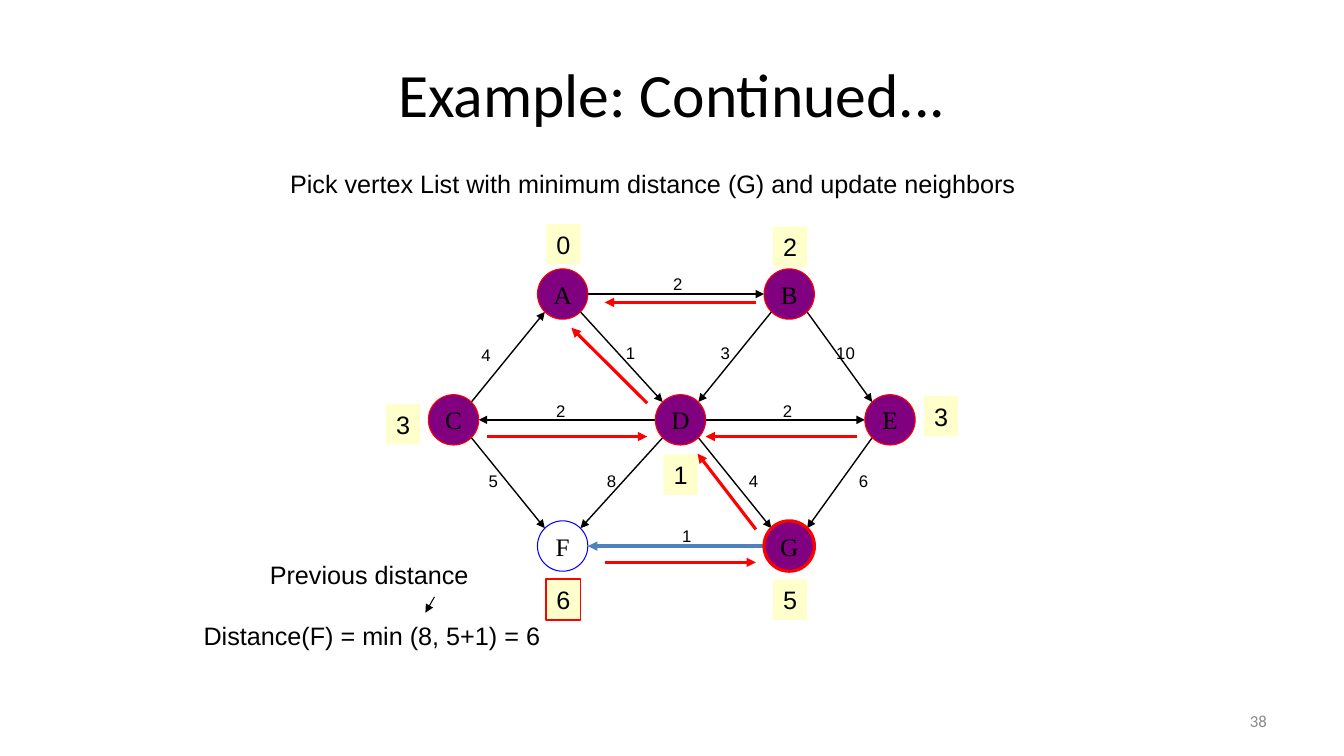
from math import sqrt
from typing import NamedTuple, Optional

from lxml.etree import SubElement
from pptx import Presentation
from pptx.dml.color import RGBColor
from pptx.enum.shapes import MSO_CONNECTOR, MSO_SHAPE
from pptx.enum.text import MSO_ANCHOR, PP_ALIGN
from pptx.oxml.ns import qn
from pptx.util import Cm, Pt

BLACK, RED, BLUE, STEEL = "000000", "FF0000", "0000FF", "4F81BD"
PURPLE, CREAM, GREY = "800080", "FFFFCC", "898989"
RADIUS = 0.635
BADGE_WIDTH, BADGE_HEIGHT = 0.86, 1.02
WEIGHT_WIDTH, WEIGHT_HEIGHT = 1.2, 0.76


class Vertex(NamedTuple):
    x: float
    y: float
    distance: str
    badge_x: float
    badge_y: float
    fill: Optional[str] = PURPLE
    outline: str = RED
    outline_width: float = 0.75
    badge_outline: Optional[str] = None


class Edge(NamedTuple):
    start: str
    end: str
    weight: str
    weight_x: float
    weight_y: float
    colour: str = BLACK
    width: float = 1


class Arrow(NamedTuple):
    x1: float
    y1: float
    x2: float
    y2: float
    colour: str = RED
    width: float = 2.25


class Caption(NamedTuple):
    text: str
    x: float
    y: float
    width: float
    height: float = 1.02
    size: float = 18
    font: str = "Arial"
    colour: str = BLACK
    align: PP_ALIGN = PP_ALIGN.LEFT


TOP, MIDDLE, BOTTOM = 7.41, 10.58, 13.76
VERTICES = {
    "A": Vertex(14.18, TOP, "0", 14.2, 6.15),
    "B": Vertex(19.89, TOP, "2", 19.91, 6.22),
    "C": Vertex(11.43, MIDDLE, "3", 10.16, 10.69),
    "D": Vertex(17.15, MIDDLE, "1", 17.15, 11.96),
    "E": Vertex(22.43, MIDDLE, "3", 23.72, 10.49),
    "F": Vertex(14.18, BOTTOM, "6", 14.2, 15.11, None, BLUE, badge_outline=RED),
    "G": Vertex(19.89, BOTTOM, "5", 19.91, 15.11, outline_width=2.25),
}
EDGES = [
    Edge("A", "B", "2", 17.08, 7.16),
    Edge("A", "D", "1", 15.89, 8.89),
    Edge("B", "D", "3", 18.28, 8.89),
    Edge("B", "E", "10", 21.31, 8.89),
    Edge("C", "A", "4", 12.25, 8.94),
    Edge("C", "F", "5", 12.43, 12.12),
    Edge("D", "C", "2", 14.13, 10.34),
    Edge("D", "E", "2", 19.85, 10.34),
    Edge("D", "F", "8", 15.41, 12.12),
    Edge("D", "G", "4", 18.99, 12.12),
    Edge("E", "G", "6", 21.76, 12.12),
    Edge("G", "F", "1", 17.31, 13.51, STEEL, 2.25),
]
BACK_ARROWS = [
    Arrow(16.31, 10.16, 14.4, 8.26),
    Arrow(19.05, 7.62, 15.24, 7.62),
    Arrow(21.59, 11, 17.78, 11),
    Arrow(19.05, 13.34, 17.58, 11.43),
    Arrow(15.24, 14.17, 19.05, 14.17),
    Arrow(12.27, 11, 16.31, 11),
]
PREVIOUS_ARROW = Arrow(10.95, 15.04, 10.72, 15.44, BLACK, 0.75)
CAPTIONS = [
    Caption("Pick vertex List with minimum distance (G) and update neighbors", 7.06, 4.11, 18.9),
    Caption("Previous distance", 6.55, 13.97, 5.72),
    Caption("Distance(F) = min (8, 5+1) = 6", 4.88, 15.49, 9.96),
    Caption("38", 24.28, 17.65, 7.9, 1.02, 12, "Calibri", GREY, PP_ALIGN.RIGHT),
]


def rgb(colour: str) -> RGBColor:
    return RGBColor.from_string(colour)


def write(shape, text: str, size: float, font: str, colour: str = BLACK,
          align: PP_ALIGN = PP_ALIGN.CENTER, wrap: bool = False) -> None:
    frame = shape.text_frame
    frame.text = text
    frame.word_wrap = wrap
    frame.vertical_anchor = MSO_ANCHOR.MIDDLE
    paragraph = frame.paragraphs[0]
    paragraph.alignment = align
    paragraph.font.size = Pt(size)
    paragraph.font.name = font
    paragraph.font.color.rgb = rgb(colour)


def draw_centred(slide, kind: MSO_SHAPE, x: float, y: float, width: float, height: float,
                 fill: Optional[str], outline: Optional[str], outline_width: float):
    shape = slide.shapes.add_shape(
        kind, Cm(x - width / 2), Cm(y - height / 2), Cm(width), Cm(height))
    shape.shadow.inherit = False
    if fill:
        shape.fill.solid()
        shape.fill.fore_color.rgb = rgb(fill)
    else:
        shape.fill.background()
    if outline:
        shape.line.color.rgb = rgb(outline)
        shape.line.width = Pt(outline_width)
    else:
        shape.line.fill.background()
    return shape


def draw_vertex(slide, name: str, vertex: Vertex) -> None:
    circle = draw_centred(slide, MSO_SHAPE.OVAL, vertex.x, vertex.y, 2 * RADIUS, 2 * RADIUS,
                          vertex.fill, vertex.outline, vertex.outline_width)
    write(circle, name, 18, "Times New Roman")
    badge = draw_centred(slide, MSO_SHAPE.RECTANGLE, vertex.badge_x, vertex.badge_y,
                         BADGE_WIDTH, BADGE_HEIGHT, CREAM, vertex.badge_outline, 1.25)
    write(badge, vertex.distance, 18, "Arial")


def draw_arrow(slide, arrow: Arrow) -> None:
    connector = slide.shapes.add_connector(
        MSO_CONNECTOR.STRAIGHT, Cm(arrow.x1), Cm(arrow.y1), Cm(arrow.x2), Cm(arrow.y2))
    connector.line.color.rgb = rgb(arrow.colour)
    connector.line.width = Pt(arrow.width)
    SubElement(connector.line._get_or_add_ln(), qn("a:tailEnd"), type="triangle")
    SubElement(connector._element.spPr, qn("a:effectLst"))


def draw_caption(slide, caption: Caption) -> None:
    box = slide.shapes.add_textbox(
        Cm(caption.x), Cm(caption.y), Cm(caption.width), Cm(caption.height))
    write(box, caption.text, caption.size, caption.font, caption.colour, caption.align, True)


def draw_edge(slide, edge: Edge) -> None:
    start, end = VERTICES[edge.start], VERTICES[edge.end]
    # Slanted edges meet the circles at 45 degrees, level ones at the side
    reach = RADIUS if start.y == end.y else RADIUS / sqrt(2)
    dx = reach if end.x > start.x else -reach
    dy = 0 if start.y == end.y else reach if end.y > start.y else -reach
    draw_arrow(slide, Arrow(start.x + dx, start.y + dy, end.x - dx, end.y - dy,
                            edge.colour, edge.width))
    draw_caption(slide, Caption(
        edge.weight, edge.weight_x - WEIGHT_WIDTH / 2, edge.weight_y - WEIGHT_HEIGHT / 2,
        WEIGHT_WIDTH, WEIGHT_HEIGHT, 12, align=PP_ALIGN.CENTER))


def main() -> None:
    deck = Presentation()
    deck.slide_width, deck.slide_height = Cm(33.87), Cm(19.05)
    slide = deck.slides.add_slide(deck.slide_layouts[5])

    # Title
    title = slide.shapes.title
    title.left, title.top, title.width, title.height = Cm(1.7), Cm(0.76), Cm(30.48), Cm(3.18)
    write(title, "Example: Continued...", 44, "Calibri", wrap=True)

    # Graph
    for edge in EDGES:
        draw_edge(slide, edge)
    for name, vertex in VERTICES.items():
        draw_vertex(slide, name, vertex)

    # Predecessor arrows and the pointer to the previous distance
    for arrow in [*BACK_ARROWS, PREVIOUS_ARROW]:
        draw_arrow(slide, arrow)

    # Explanations and slide number
    for caption in CAPTIONS:
        draw_caption(slide, caption)

    deck.save("out.pptx")


if __name__ == "__main__":
    main()
